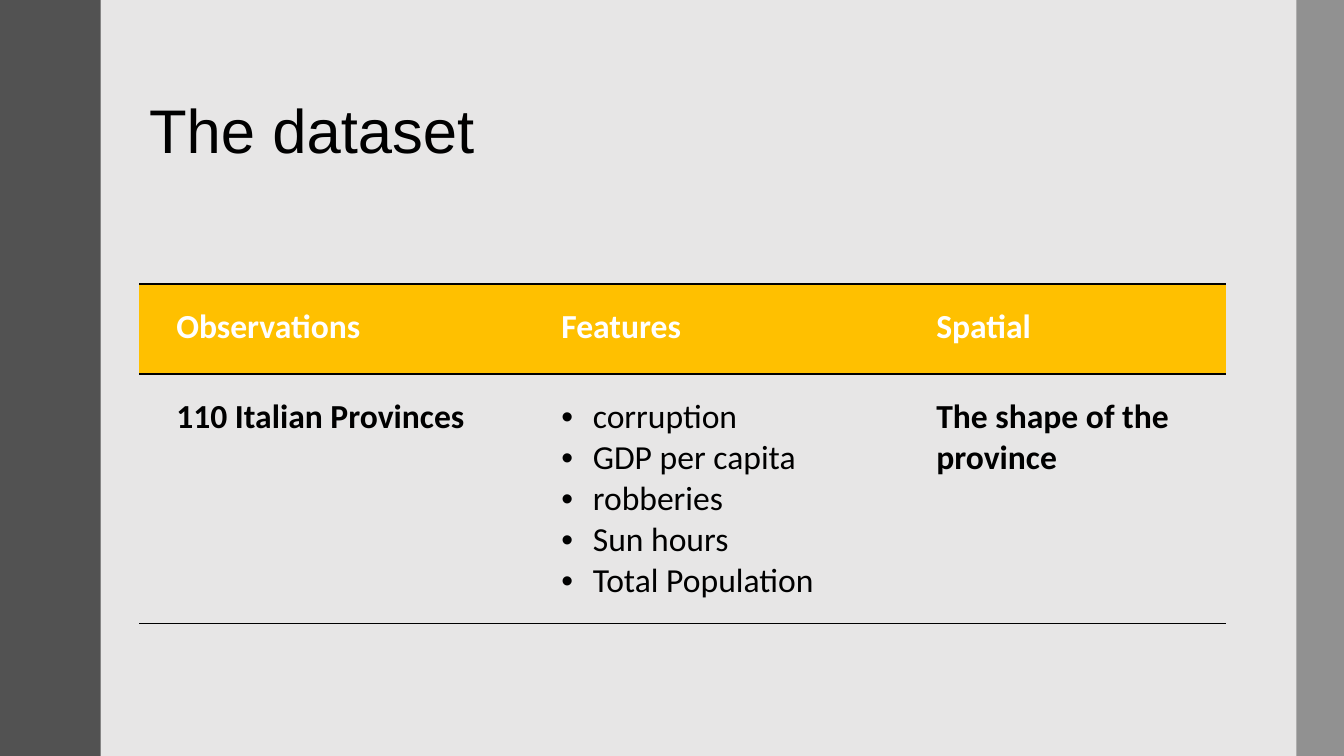
"""Build the slide that presents the dataset in a three-column table."""
from dataclasses import dataclass

from lxml import etree
from pptx import Presentation
from pptx.dml.color import RGBColor
from pptx.enum.dml import MSO_THEME_COLOR
from pptx.enum.shapes import MSO_SHAPE
from pptx.enum.text import MSO_ANCHOR, MSO_AUTO_SIZE, PP_ALIGN
from pptx.oxml.ns import qn
from pptx.util import Pt

RECTANGLE = MSO_SHAPE.RECTANGLE
MIDDLE = MSO_ANCHOR.MIDDLE
TOP = MSO_ANCHOR.TOP
LEFT = PP_ALIGN.LEFT
NO_AUTOFIT = MSO_AUTO_SIZE.NONE
TITLE_ONLY = 5


@dataclass(frozen=True)
class Theme:
    background: str = "E7E6E6"
    ink: str = "000000"
    header_fill: str = "FFC000"
    header_ink: str = "FFFFFF"
    left_band: str = "525252"
    right_band: str = "595959"
    title_font: str = "Arial"
    table_font: str = "Calibri"
    title_size: float = 44
    table_size: float = 24


@dataclass(frozen=True)
class Band:
    left: float
    width: float
    color: str
    opacity: int = 100


@dataclass(frozen=True)
class Column:
    width: float
    heading: str
    lines: tuple[str, ...]
    bulleted: bool = False


@dataclass(frozen=True)
class CellStyle:
    fill: str
    ink: str
    bold: bool
    top_rule: float
    bottom_rule: float
    bulleted: bool = False


THEME = Theme()
PAGE_WIDTH, PAGE_HEIGHT = 960, 540
CONTENT_LEFT, CONTENT_WIDTH = 99.36, 776.16
TITLE_TOP, TITLE_HEIGHT = 43.2, 104.4
TABLE_TOP = 203.04
ROW_HEIGHTS = (64.2, 177.2)
CELL_LEFT_INSET, CELL_INSET = 26.64, 15.84
BULLET_INDENT = 22.5
HEAVY_RULE, LIGHT_RULE = 2, 1.5

BANDS = (
    Band(0, 72, THEME.left_band),
    Band(926, 34, THEME.right_band, opacity=60),
)
COLUMNS = (
    Column(275.04, "Observations", ("110 Italian Provinces",)),
    Column(
        267.84,
        "Features",
        ("corruption", "GDP per capita", "robberies", "Sun hours", "Total Population"),
        bulleted=True,
    ),
    Column(233.28, "Spatial", ("The shape of the province",)),
)


def add_span(para, text: str, font: str, size: float, color: str, bold: bool = False) -> None:
    span = para.add_run()
    span.text = text
    span.font.name = font
    span.font.size = Pt(size)
    span.font.bold = bold
    span.font.color.rgb = RGBColor.from_string(color)


def add_title(page, text: str) -> None:
    title = page.shapes.title
    title.left, title.top = Pt(CONTENT_LEFT), Pt(TITLE_TOP)
    title.width, title.height = Pt(CONTENT_WIDTH), Pt(TITLE_HEIGHT)
    frame = title.text_frame
    frame.word_wrap = True
    frame.auto_size = NO_AUTOFIT
    frame.vertical_anchor = MIDDLE
    para = frame.paragraphs[0]
    para.alignment = LEFT
    para.line_spacing = 0.9
    add_span(para, text, THEME.title_font, THEME.title_size, THEME.ink)


def add_band(page, band: Band) -> None:
    box = page.shapes.add_shape(RECTANGLE, Pt(band.left), Pt(0), Pt(band.width), Pt(PAGE_HEIGHT))
    box.shadow.inherit = False
    box.line.fill.background()
    box.fill.solid()
    box.fill.fore_color.rgb = RGBColor.from_string(band.color)
    if band.opacity < 100:
        color = box.fill._xPr.find(f".//{qn('a:srgbClr')}")
        etree.SubElement(color, qn("a:alpha"), val=str(band.opacity * 1000))


def add_border(cell, side: str, width: float) -> None:
    line = etree.SubElement(cell._tc.get_or_add_tcPr(), qn(f"a:{side}"), w=str(Pt(width)))
    if width:
        fill = etree.SubElement(line, qn("a:solidFill"))
        etree.SubElement(fill, qn("a:srgbClr"), val=THEME.ink)
    else:
        etree.SubElement(line, qn("a:noFill"))


def add_bullet(para) -> None:
    properties = para._p.get_or_add_pPr()
    properties.set("marL", str(Pt(BULLET_INDENT)))
    properties.set("indent", str(-Pt(BULLET_INDENT)))
    etree.SubElement(properties, qn("a:buFont"), typeface=THEME.title_font)
    etree.SubElement(properties, qn("a:buChar"), char="•")


def fill_cell(cell, lines: tuple[str, ...], style: CellStyle) -> None:
    cell.margin_left = Pt(CELL_LEFT_INSET)
    cell.margin_top = cell.margin_right = cell.margin_bottom = Pt(CELL_INSET)
    cell.vertical_anchor = TOP
    rules = {"lnL": 0, "lnR": 0, "lnT": style.top_rule, "lnB": style.bottom_rule}
    for side, width in rules.items():
        add_border(cell, side, width)
    cell.fill.solid()
    cell.fill.fore_color.rgb = RGBColor.from_string(style.fill)
    frame = cell.text_frame
    for index, line in enumerate(lines):
        para = frame.add_paragraph() if index else frame.paragraphs[0]
        if style.bulleted:
            add_bullet(para)
        add_span(para, line, THEME.table_font, THEME.table_size, style.ink, style.bold)


def add_dataset_table(page, columns: tuple[Column, ...]) -> None:
    box = page.shapes.add_table(
        len(ROW_HEIGHTS), len(columns),
        Pt(CONTENT_LEFT), Pt(TABLE_TOP), Pt(CONTENT_WIDTH), Pt(sum(ROW_HEIGHTS)),
    )
    table = box.table
    table.horz_banding = False
    for row, height in zip(table.rows, ROW_HEIGHTS):
        row.height = Pt(height)
    header = CellStyle(THEME.header_fill, THEME.header_ink, True, HEAVY_RULE, HEAVY_RULE)
    for index, column in enumerate(columns):
        table.columns[index].width = Pt(column.width)
        body = CellStyle(
            THEME.background, THEME.ink, not column.bulleted,
            HEAVY_RULE, LIGHT_RULE, column.bulleted,
        )
        fill_cell(table.cell(0, index), (column.heading,), header)
        fill_cell(table.cell(1, index), column.lines, body)


def main() -> None:
    deck = Presentation()
    deck.slide_width, deck.slide_height = Pt(PAGE_WIDTH), Pt(PAGE_HEIGHT)
    page = deck.slides.add_slide(deck.slide_layouts[TITLE_ONLY])
    page.background.fill.solid()
    page.background.fill.fore_color.rgb = RGBColor.from_string(THEME.background)
    add_title(page, "The dataset")
    for band in BANDS:
        add_band(page, band)
    add_dataset_table(page, COLUMNS)
    deck.save("out.pptx")


if __name__ == "__main__":
    main()
